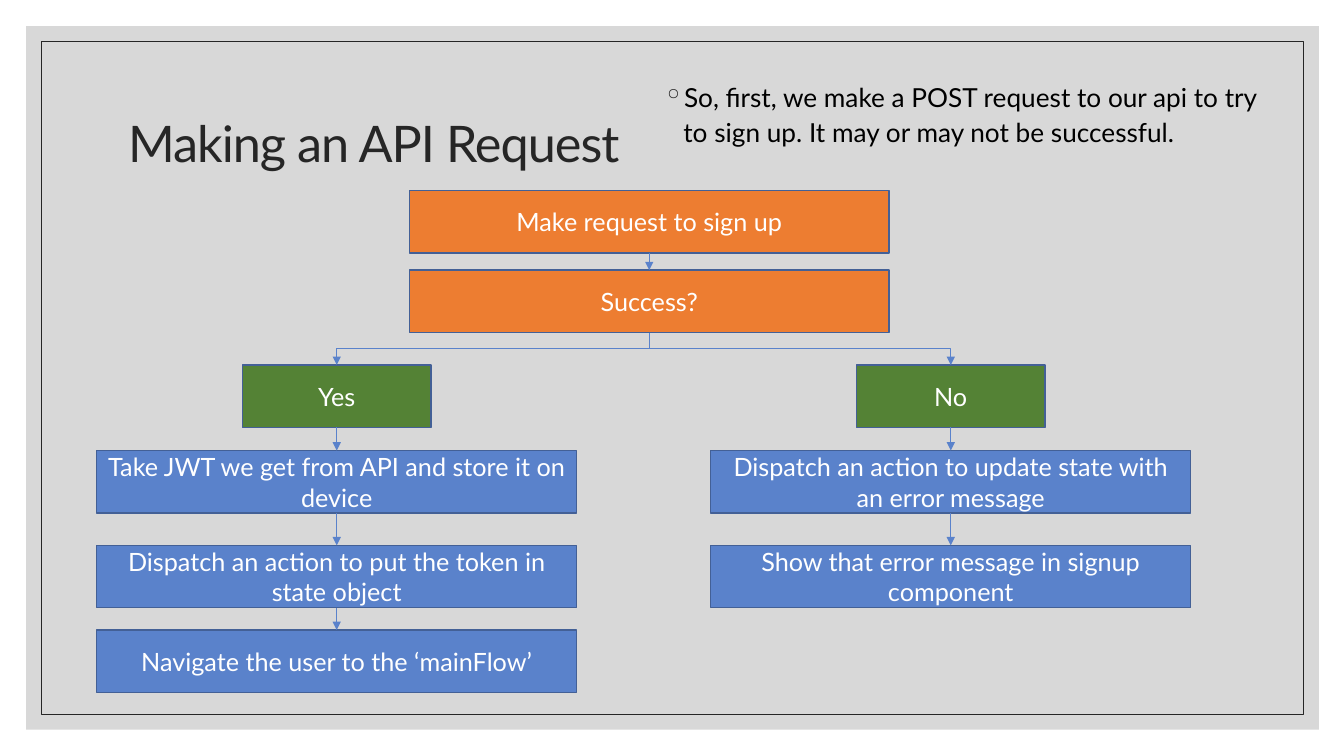
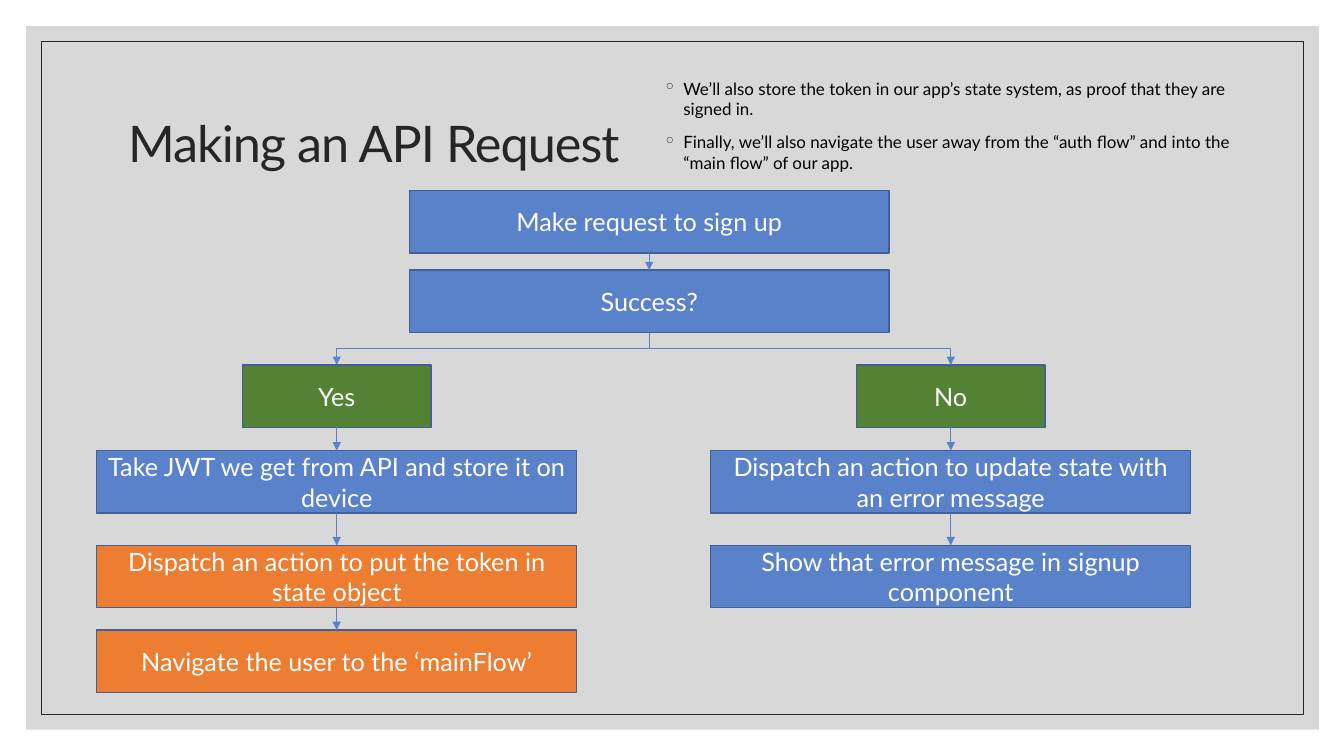
from lxml import etree
from pptx import Presentation
from pptx.dml.color import RGBColor
from pptx.enum.shapes import MSO_CONNECTOR, MSO_SHAPE
from pptx.enum.text import MSO_ANCHOR, PP_ALIGN
from pptx.oxml.ns import qn
from pptx.util import Inches, Pt

RECT = MSO_SHAPE.RECTANGLE
STRAIGHT, ELBOW = MSO_CONNECTOR.STRAIGHT, MSO_CONNECTOR.ELBOW
MIDDLE, TOP = MSO_ANCHOR.MIDDLE, MSO_ANCHOR.TOP
LEFT, CENTER = PP_ALIGN.LEFT, PP_ALIGN.CENTER
BOTTOM_SITE, TOP_SITE = 2, 0

FONT = "Lato"
BLACK = RGBColor(0x00, 0x00, 0x00)
WHITE = RGBColor(0xFF, 0xFF, 0xFF)
INK = RGBColor(0x26, 0x26, 0x26)
PANEL = RGBColor(0xBF, 0xBF, 0xBF)
BLUE = RGBColor(0x5A, 0x82, 0xCB)
BORDER = RGBColor(0x43, 0x60, 0x96)
ORANGE = RGBColor(0xED, 0x7D, 0x31)
GREEN = RGBColor(0x54, 0x82, 0x35)

BOX_H, WIDE, NARROW = 0.62, 4.76, 1.87
MID_X, YES_X, NO_X = 6.44, 3.34, 9.43

# name: (text, centre x, top, width)
STEPS = {
    "request": ("Make request to sign up", MID_X, 1.89, WIDE),
    "success": ("Success?", MID_X, 2.68, WIDE),
    "store": ("Take JWT we get from API and store it on device", YES_X, 4.47, WIDE),
    "update": ("Dispatch an action to update state with an error message", NO_X, 4.47, WIDE),
    "show": ("Show that error message in signup component", NO_X, 5.41, WIDE),
    "put": ("Dispatch an action to put the token in state object", YES_X, 5.41, WIDE),
    "navigate": ("Navigate the user to the ‘mainFlow’", YES_X, 6.25, WIDE),
    "yes": ("Yes", YES_X, 3.62, NARROW),
    "no": ("No", NO_X, 3.62, NARROW),
}
ARROWS = [
    ("request", "success"), ("success", "yes"), ("success", "no"),
    ("yes", "store"), ("store", "put"), ("put", "navigate"),
    ("no", "update"), ("update", "show"),
]
# notes, text size, line spacing, highlighted steps
SLIDES = [
    (["So, first, we make a POST request to our api to try to sign up. "
      "It may or may not be successful."],
     18.7, 1.1, {"request", "success"}),
    (["We’ll also store the token in our app’s state system, as proof that "
      "they are signed in.",
      "Finally, we’ll also navigate the user away from the “auth flow” and "
      "into the “main flow” of our app."],
     12.1, 1.0, {"put", "navigate"}),
]


class Deck:
    def __init__(self):
        self.prs = Presentation()
        self.prs.slide_width, self.prs.slide_height = Inches(13.33), Inches(7.5)
        self.layout = self.prs.slide_layouts[5]
        self.s = None

    def new_slide(self, title):
        first = self.s is None
        self.s = self.prs.slides.add_slide(self.layout)
        if first:
            self.frame()
        sp = self.s.shapes.title
        sp.left, sp.top, sp.width, sp.height = map(Inches, (1.17, 0.7, 11, 1.5))
        tf = sp.text_frame
        tf.vertical_anchor = MIDDLE
        p = tf.paragraphs[0]
        p.alignment, p.line_spacing = LEFT, 0.9
        r = self.run(p, title, 36, INK)
        r.font._element.set("spc", "-70")

    def frame(self):
        """Draw the panel and its inner border, and hand them to the layout."""
        panel = self.rect(0.26, 0.26, 12.82, 6.98, fill=PANEL)
        color = panel.element.spPr.find(".//" + qn("a:srgbClr"))
        etree.SubElement(color, qn("a:alpha"), val="60000")
        border = self.rect(0.41, 0.41, 12.52, 6.68, line=INK, line_w=0.5)
        for i, sp in enumerate((panel, border)):
            sp.element.nvSpPr.cNvPr.set("id", str(100 + i))
            self.layout.shapes.element.insert(2 + i, sp.element)

    def rect(self, x, y, w, h, fill=None, line=None, line_w=1):
        sp = self.s.shapes.add_shape(RECT, *map(Inches, (x, y, w, h)))
        sp.shadow.inherit = False
        if fill is None:
            sp.fill.background()
        else:
            sp.fill.solid()
            sp.fill.fore_color.rgb = fill
        if line is None:
            sp.line.fill.background()
        else:
            sp.line.color.rgb, sp.line.width = line, Pt(line_w)
        return sp

    def run(self, p, text, size, color):
        r = p.add_run()
        r.text = text
        r.font.name, r.font.size, r.font.color.rgb = FONT, Pt(size), color
        return r

    def step(self, text, center_x, top, width, fill):
        sp = self.rect(center_x - width / 2, top, width, BOX_H, fill, BORDER)
        tf = sp.text_frame
        tf.word_wrap, tf.vertical_anchor = True, MIDDLE
        p = tf.paragraphs[0]
        p.alignment = CENTER
        self.run(p, text, 18, WHITE)
        return sp

    def bullets(self, items, size, spacing):
        sp = self.s.shapes.add_textbox(*map(Inches, (6.48, 0.73, 6.16, 1.09)))
        tf = sp.text_frame
        tf.word_wrap, tf.vertical_anchor = True, TOP
        for i, text in enumerate(items):
            p = tf.add_paragraph() if i else tf.paragraphs[0]
            pPr = p._p.get_or_add_pPr()
            pPr.set("marL", str(Inches(0.2)))
            pPr.set("indent", str(-Inches(0.2)))
            color = etree.SubElement(pPr, qn("a:buClr"))
            etree.SubElement(color, qn("a:srgbClr"), val=str(INK))
            etree.SubElement(pPr, qn("a:buChar"), char="◦")
            p.line_spacing = spacing
            if i:
                p.space_before = Pt(9)
            self.run(p, text, size, BLACK)

    def arrow(self, start, end, elbow):
        c = self.s.shapes.add_connector(ELBOW if elbow else STRAIGHT, 0, 0, 0, 0)
        c.begin_connect(start, BOTTOM_SITE)
        c.end_connect(end, TOP_SITE)
        if elbow:
            self.turn_down(c)
        c.line.color.rgb, c.line.width = BLUE, Pt(0.5)
        etree.SubElement(c.line._get_or_add_ln(), qn("a:tailEnd"), type="triangle")
        etree.SubElement(c.element.spPr, qn("a:effectLst"))

    def turn_down(self, c):
        """Rotate an elbow so that it leaves and arrives vertically."""
        x1, y1, x2, y2 = c.begin_x, c.begin_y, c.end_x, c.end_y
        w, h = y2 - y1, abs(x2 - x1)
        c.left, c.top = (x1 + x2 - w) // 2, (y1 + y2 - h) // 2
        c.width, c.height = w, h
        xfrm = c.element.spPr.find(qn("a:xfrm"))
        to_right = x2 > x1
        xfrm.set("rot", "16200000" if to_right else "5400000")
        xfrm.set("flipH", "1" if to_right else "0")
        xfrm.set("flipV", "0")

    def flowchart(self, highlighted):
        boxes = {}
        for name, (text, x, top, width) in STEPS.items():
            fill = ORANGE if name in highlighted else GREEN if width == NARROW else BLUE
            boxes[name] = self.step(text, x, top, width, fill)
        for start, end in ARROWS:
            self.arrow(boxes[start], boxes[end], STEPS[start][1] != STEPS[end][1])


def main():
    deck = Deck()
    for notes, size, spacing, highlighted in SLIDES:
        deck.new_slide("Making an API Request")
        deck.bullets(notes, size, spacing)
        deck.flowchart(highlighted)
    deck.prs.save("out.pptx")


if __name__ == "__main__":
    main()
